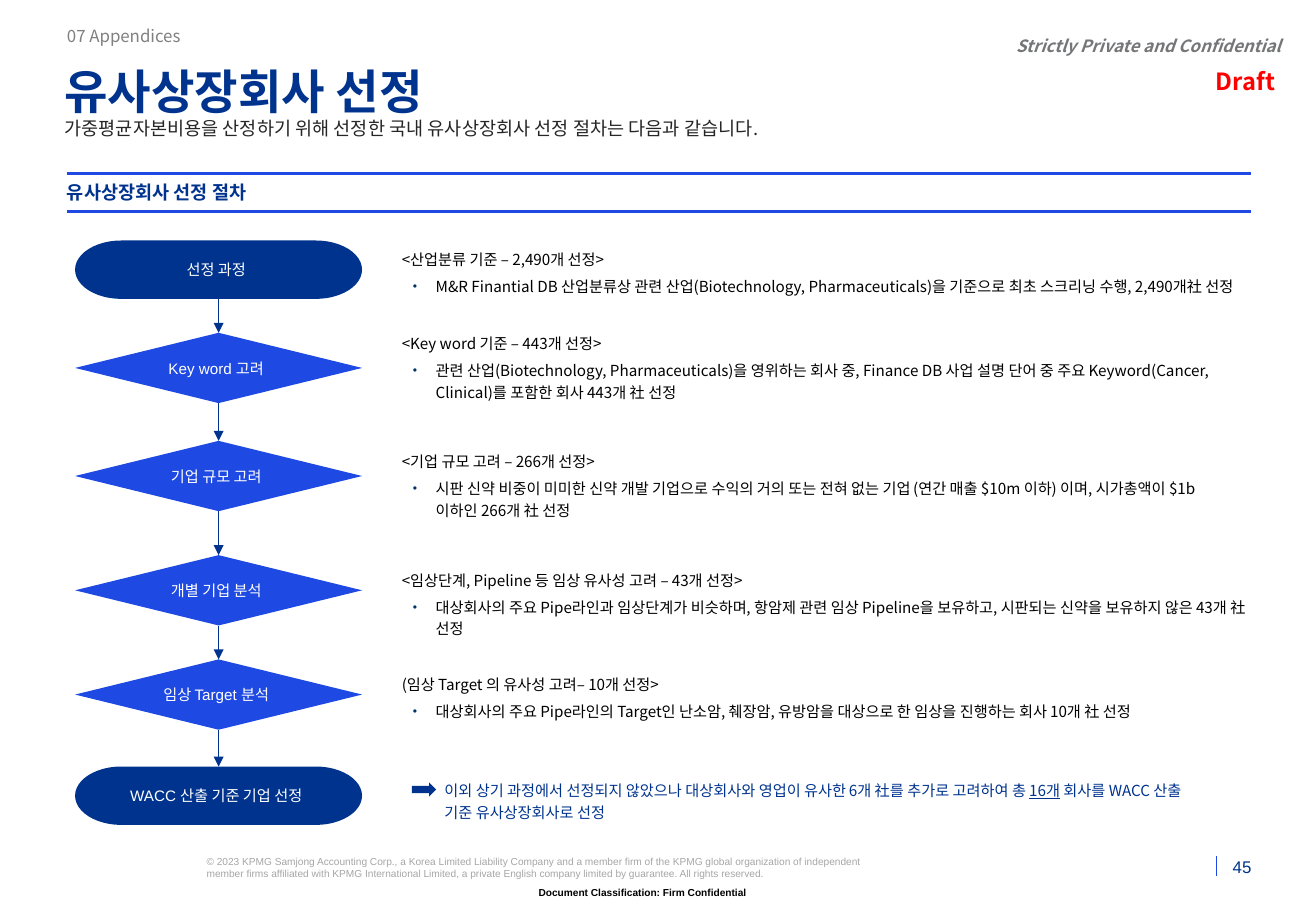
from itertools import pairwise

from lxml.etree import SubElement
from pptx import Presentation
from pptx.dml.color import RGBColor
from pptx.enum.shapes import MSO_CONNECTOR, MSO_SHAPE
from pptx.enum.text import MSO_ANCHOR, MSO_AUTO_SIZE, PP_ALIGN
from pptx.oxml.ns import qn
from pptx.util import Cm, Pt

HEX = {
    "navy": "00338D", "blue": "1E49E2", "bullet": "003366", "white": "FFFFFF",
    "black": "000000", "dark": "262626", "grey": "808080", "stamp": "747678",
    "pale": "A6A6A6", "red": "FF0000",
}
NOTO = "Noto Sans CJK KR"
ARIAL = "Arial"

# Flow steps: label, top (cm), is an end point
STEPS = [
    ("선정 과정", 5.03, True),
    ("Key word 고려", 6.96, False),
    ("기업 규모 고려", 9.22, False),
    ("개별 기업 분석", 11.61, False),
    ("임상 Target 분석", 13.79, False),
    ("WACC 산출 기준 기업 선정", 16.03, True),
]

# Notes beside the steps: top and width (cm), heading, detail
NOTES = [
    (5.03, 17.93, "<산업분류 기준 – 2,490개 선정>",
     "M&R Finantial DB 산업분류상 관련 산업(Biotechnology, Pharmaceuticals)을 "
     "기준으로 최초 스크리닝 수행, 2,490개社 선정"),
    (6.78, 17.93, "<Key word 기준 – 443개 선정>",
     "관련 산업(Biotechnology, Pharmaceuticals)을 영위하는 회사 중, Finance DB 사업 "
     "설명 단어 중 주요 Keyword(Cancer, Clinical)를 포함한 회사 443개 社 선정"),
    (9.25, 17.93, "<기업 규모 고려 – 266개 선정>",
     "시판 신약 비중이 미미한 신약 개발 기업으로 수익의 거의 또는 전혀 없는 기업 "
     "(연간 매출 $10m 이하) 이며, 시가총액이 $1b 이하인 266개 社 선정"),
    (11.73, 18.31, "<임상단계, Pipeline 등 임상 유사성 고려 – 43개 선정>",
     "대상회사의 주요 Pipe라인과 임상단계가 비슷하며, 항암제 관련 임상 Pipeline을 "
     "보유하고, 시판되는 신약을 보유하지 않은 43개 社 선정"),
    (13.92, 18.31, "(임상 Target 의 유사성 고려– 10개 선정>",
     "대상회사의 주요 Pipe라인의 Target인 난소암, 췌장암, 유방암을 대상으로 한 임상을 "
     "진행하는 회사 10개 社 선정"),
]


def color(name):
    return RGBColor.from_string(HEX[name])


def style(par, size, tint, face=NOTO, bold=False, italic=False):
    for run in par.runs:
        font = run.font
        font.size, font.name = Pt(size), face
        font.bold, font.italic = bold, italic
        font.color.rgb = color(tint)
        SubElement(font._element, qn("a:ea"), typeface=NOTO)


def frame(shape, anchor=MSO_ANCHOR.TOP, pad=(0, 0, 0, 0)):
    text = shape.text_frame
    text.word_wrap = True
    text.auto_size = MSO_AUTO_SIZE.NONE
    text.vertical_anchor = anchor
    (text.margin_left, text.margin_top,
     text.margin_right, text.margin_bottom) = map(Cm, pad)
    return text


def label(slide, box, words, size, tint, align=PP_ALIGN.LEFT,
          anchor=MSO_ANCHOR.TOP, gap=None, **look):
    text = frame(slide.shapes.add_textbox(*map(Cm, box)), anchor)
    text.text = words
    par = text.paragraphs[0]
    par.alignment = align
    if gap:
        par.line_spacing = Pt(gap)
    style(par, size, tint, **look)


def line(slide, start, end, tint, width):
    rule = slide.shapes.add_connector(
        MSO_CONNECTOR.STRAIGHT, *map(Cm, start + end))
    rule.line.color.rgb = color(tint)
    rule.line.width = Pt(width)
    SubElement(rule._element.spPr, qn("a:effectLst"))
    return rule


def solid(slide, kind, box, tint):
    shape = slide.shapes.add_shape(kind, *map(Cm, box))
    shape.shadow.inherit = False
    shape.fill.solid()
    shape.fill.fore_color.rgb = color(tint)
    shape.line.fill.background()
    return shape


def step(slide, words, top, ends):
    if ends:
        kind, tall, tint = MSO_SHAPE.FLOWCHART_TERMINATOR, 1.22, "navy"
    else:
        kind, tall, tint = MSO_SHAPE.FLOWCHART_DECISION, 1.47, "blue"
    shape = solid(slide, kind, (1.57, top, 6, tall), tint)
    text = frame(shape, MSO_ANCHOR.MIDDLE, (0, 0.1, 0.1, 0.1))
    text.word_wrap = False
    text.text = words
    text.paragraphs[0].alignment = PP_ALIGN.CENTER
    style(text.paragraphs[0], 9, "white", ARIAL)
    return shape


def arrow(slide, upper, lower):
    link = line(slide, (0, 0), (1, 1), "navy", 0.75)
    link.begin_connect(upper, 2)
    link.end_connect(lower, 0)
    SubElement(link.line._get_or_add_ln(), qn("a:tailEnd"), type="triangle")


def indent(par, left, hang=0):
    props = par._p.get_or_add_pPr()
    props.set("marL", str(Cm(left)))
    props.set("indent", str(-Cm(hang)))
    return props


def bullet(par):
    props = indent(par, 0.71, 0.48)
    tone = SubElement(props, qn("a:buClr"))
    SubElement(tone, qn("a:srgbClr"), val=HEX["bullet"])
    SubElement(props, qn("a:buSzPct"), val="80000")
    SubElement(props, qn("a:buFont"), typeface=ARIAL)
    SubElement(props, qn("a:buChar"), char="•")


def body(slide, box):
    shape = slide.shapes.add_textbox(*map(Cm, box))
    return frame(shape, pad=(0.25, 0.13, 0.25, 0.13))


def note(slide, top, width, head, detail):
    text = body(slide, (8.15, top, width, 1.73))
    text.text = head
    item = text.add_paragraph()
    item.text = detail
    bullet(item)
    for par in text.paragraphs:
        par.line_spacing, par.space_after = Pt(13), Pt(3)
        style(par, 9, "black")


def result(slide):
    par = body(slide, (8.56, 16.13, 16.48, 1.63)).paragraphs[0]
    indent(par, 0.48)
    par.line_spacing = Pt(13)
    for words in ("이외 상기 과정에서 선정되지 않았으나 대상회사와 영업이 유사한 "
                  "6개 社를 추가로 고려하여 총 ", "16개",
                  " 회사를 WACC 산출 기준 유사상장회사로 선정"):
        par.add_run().text = words
    style(par, 9, "navy")
    par.runs[1].font.underline = True
    solid(slide, MSO_SHAPE.RIGHT_ARROW, (8.61, 16.36, 0.51, 0.3), "navy")


def header(slide):
    title = slide.shapes.title
    title.left, title.top, title.width, title.height = map(
        Cm, (1.35, 1.22, 24.79, 1.19))
    text = frame(title)
    text.text = "유사상장회사 선정"
    par = text.paragraphs[0]
    par.alignment, par.line_spacing = PP_ALIGN.LEFT, Pt(36)
    style(par, 28, "navy", bold=True)

    mid, right = MSO_ANCHOR.MIDDLE, PP_ALIGN.RIGHT
    label(slide, (1.4, 0.53, 15, 0.45), "07 Appendices", 10, "grey", anchor=mid)
    label(slide, (1.35, 2.44, 24.79, 0.48),
          "가중평균자본비용을 산정하기 위해 선정한 국내 유사상장회사 선정 절차는 "
          "다음과 같습니다.", 11, "dark", gap=13.5)
    label(slide, (20.77, 0.66, 6, 0.61), "Strictly Private and Confidential",
          10, "stamp", right, mid, bold=True, italic=True)
    label(slide, (21.89, 1.4, 4.77, 0.61), "Draft", 14, "red", right, mid,
          bold=True)

    # Section band
    label(slide, (1.4, 3.63, 24.76, 0.79), "유사상장회사 선정 절차", 11, "navy",
          anchor=mid, bold=True)
    for top in (3.63, 4.42):
        line(slide, (1.4, top), (26.16, top), "blue", 1.5)


def footer(slide):
    label(slide, (4.32, 17.88, 14.2, 0.51),
          "© 2023 KPMG Samjong Accounting Corp., a Korea Limited Liability "
          "Company and a member firm of the KPMG global organization of "
          "independent member firms affiliated with KPMG International Limited, "
          "a private English company limited by guarantee. All rights reserved.",
          6, "pale", face=ARIAL)
    label(slide, (10.6, 18.54, 5, 0.25),
          "Document Classification: Firm Confidential", 6, "black",
          PP_ALIGN.RIGHT, face=ARIAL, bold=True)
    line(slide, (25.43, 17.91), (25.43, 18.31), "blue", 0.5)
    label(slide, (25.48, 17.93, 0.68, 0.41), "45", 10, "navy", PP_ALIGN.RIGHT,
          MSO_ANCHOR.BOTTOM, face=ARIAL)


def main():
    deck = Presentation()
    deck.slide_width, deck.slide_height = Cm(27.51), Cm(19.05)
    slide = deck.slides.add_slide(deck.slide_layouts[5])
    header(slide)

    # Selection flow
    shapes = [step(slide, *item) for item in STEPS]
    for upper, lower in pairwise(shapes):
        arrow(slide, upper, lower)

    # Explanations
    for item in NOTES:
        note(slide, *item)
    result(slide)
    footer(slide)
    deck.save("out.pptx")


if __name__ == "__main__":
    main()
